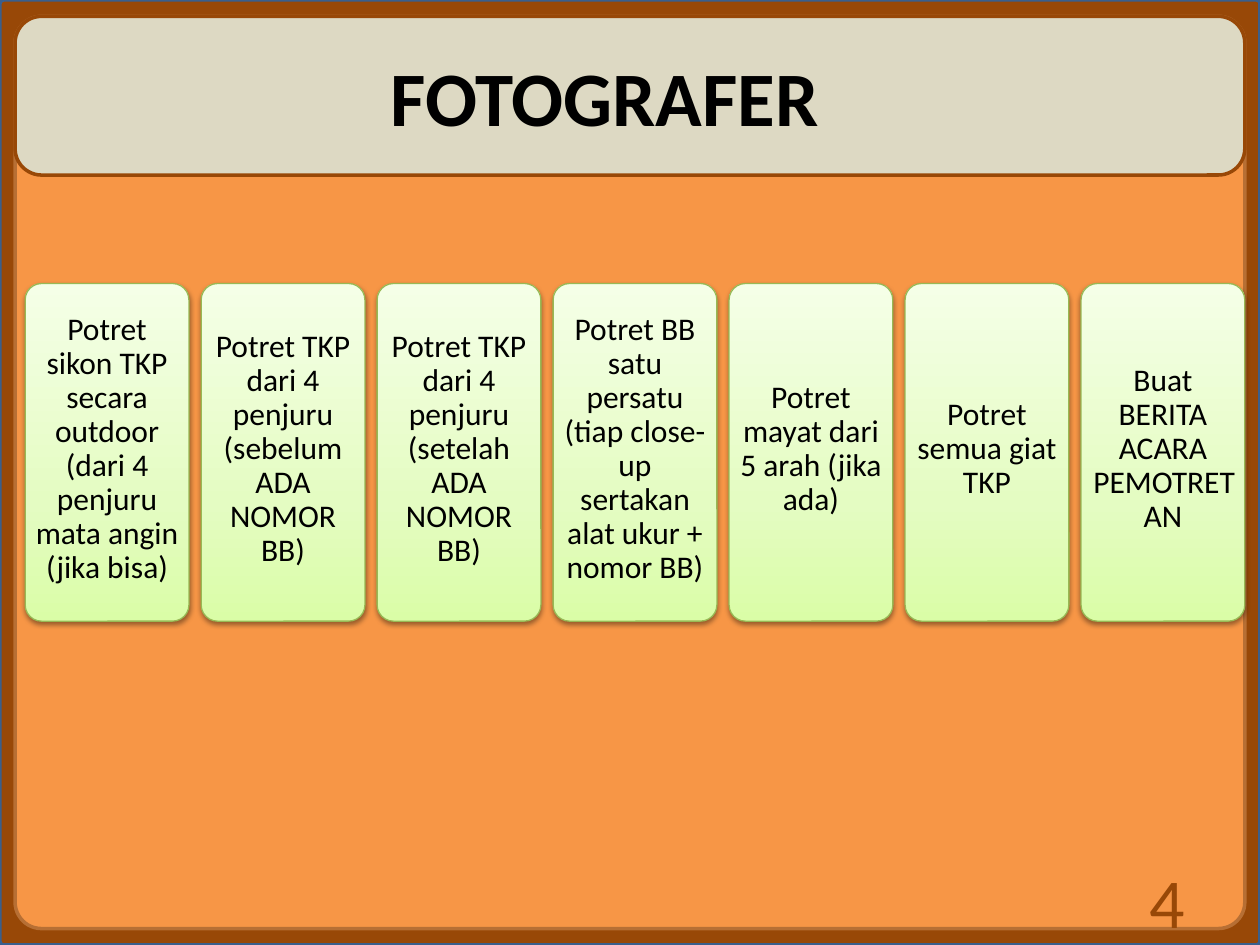
from dataclasses import dataclass

from lxml.etree import SubElement
from pptx import Presentation
from pptx.dml.color import RGBColor
from pptx.enum.shapes import MSO_SHAPE as Preset
from pptx.enum.text import MSO_ANCHOR as Anchor, PP_ALIGN as Align
from pptx.oxml.ns import qn
from pptx.shapes.autoshape import Shape
from pptx.slide import Slide
from pptx.util import Inches, Pt

COLORS = {
    "brown": "984807",
    "blue": "3A5F8C",
    "orange": "F79646",
    "dark_orange": "B76F34",
    "beige": "DDD9C3",
    "green": "98B955",
    "black": "000000",
}
CARD_GRADIENT = [(0, "DAFDA7"), (35, "E4FCC2"), (100, "F5FFE7")]
CARD_LEFT, CARD_TOP = 0.2, 2.25
CARD_WIDTH, CARD_HEIGHT = 1.3, 2.68
FIRST_TO_LAST = 8.38
CARD_TEXTS = [
    "Potret sikon TKP secara outdoor (dari 4 penjuru mata angin (jika bisa)",
    "Potret TKP dari 4 penjuru (sebelum ADA NOMOR BB)",
    "Potret TKP dari 4 penjuru (setelah ADA NOMOR BB)",
    "Potret BB satu persatu (tiap close-up sertakan alat ukur + nomor BB)",
    "Potret mayat dari 5 arah (jika ada)",
    "Potret semua giat TKP",
    "Buat BERITA ACARA PEMOTRETAN",
]


@dataclass
class Box:
    left: float
    top: float
    width: float
    height: float

    def lengths(self) -> list[Inches]:
        return [Inches(v) for v in (self.left, self.top, self.width, self.height)]


@dataclass
class Panel:
    box: Box
    radius: float
    fill: str
    line: str


@dataclass
class Label:
    text: str
    size: int
    color: str = "black"
    align: Align = Align.CENTER
    bold: bool = False


PANELS = [
    Panel(Box(0, 0, 10, 7.5), 0.004, "brown", "blue"),
    Panel(Box(0.12, 0.13, 9.76, 7.24), 0.029, "orange", "dark_orange"),
    Panel(Box(0.12, 0.13, 9.76, 1.26), 0.167, "beige", "brown"),
]


def color(name: str) -> RGBColor:
    return RGBColor.from_string(COLORS[name])


def add_rounded(slide: Slide, box: Box, radius: float, line: str, weight: float) -> Shape:
    shape = slide.shapes.add_shape(Preset.ROUNDED_RECTANGLE, *box.lengths())
    shape.adjustments[0] = radius
    shape.line.color.rgb = color(line)
    shape.line.width = Pt(weight)
    shape.shadow.inherit = False
    return shape


def add_panel(slide: Slide, panel: Panel) -> None:
    shape = add_rounded(slide, panel.box, panel.radius, panel.line, 2)
    shape.fill.solid()
    shape.fill.fore_color.rgb = color(panel.fill)


def write_label(shape: Shape, label: Label) -> None:
    text_frame = shape.text_frame
    text_frame.text = label.text
    text_frame.word_wrap = True
    text_frame.vertical_anchor = Anchor.MIDDLE
    paragraph = text_frame.paragraphs[0]
    paragraph.alignment = label.align
    font = paragraph.runs[0].font
    font.name = "Calibri"
    font.size = Pt(label.size)
    font.bold = label.bold
    font.color.rgb = color(label.color)


def add_label(slide: Slide, box: Box, label: Label) -> None:
    write_label(slide.shapes.add_textbox(*box.lengths()), label)


def apply_gradient(shape: Shape) -> None:
    shape.fill.gradient()
    shape.fill.gradient_angle = 90
    stops = shape.element.spPr.find(".//" + qn("a:gsLst"))
    for stop in list(stops):
        stops.remove(stop)
    for position, value in CARD_GRADIENT:
        stop = SubElement(stops, qn("a:gs"), pos=str(position * 1000))
        SubElement(stop, qn("a:srgbClr"), val=value)


def apply_shadow(shape: Shape) -> None:
    effects = shape.element.spPr.find(qn("a:effectLst"))
    shadow = SubElement(
        effects, qn("a:outerShdw"), blurRad=str(Pt(3.1)), dist=str(Pt(1.6)),
        dir="5400000", rotWithShape="0",
    )
    shade = SubElement(shadow, qn("a:srgbClr"), val=COLORS["black"])
    SubElement(shade, qn("a:alpha"), val="38000")


def add_card(slide: Slide, box: Box, text: str) -> None:
    shape = add_rounded(slide, box, 0.1, "green", 0.75)
    apply_gradient(shape)
    apply_shadow(shape)
    write_label(shape, Label(text, 18))
    text_frame = shape.text_frame
    text_frame.margin_left = text_frame.margin_right = Inches(0.03)
    text_frame.margin_top = Inches(0.03)
    text_frame.margin_bottom = Inches(0.08)
    text_frame.paragraphs[0].line_spacing = 0.9


def main() -> None:
    presentation = Presentation()
    presentation.slide_width = Inches(10)
    presentation.slide_height = Inches(7.5)
    slide = presentation.slides.add_slide(presentation.slide_layouts[6])
    for panel in PANELS:
        add_panel(slide, panel)
    add_label(slide, Box(0.98, 0.13, 7.64, 1.26), Label("FOTOGRAFER", 44, bold=True))
    add_label(slide, Box(7.17, 6.95, 2.33, 0.4), Label("4", 40, "brown", Align.RIGHT))
    pitch = FIRST_TO_LAST / (len(CARD_TEXTS) - 1)
    for index, text in enumerate(CARD_TEXTS):
        left = CARD_LEFT + index * pitch
        add_card(slide, Box(left, CARD_TOP, CARD_WIDTH, CARD_HEIGHT), text)
    presentation.save("out.pptx")


if __name__ == "__main__":
    main()
